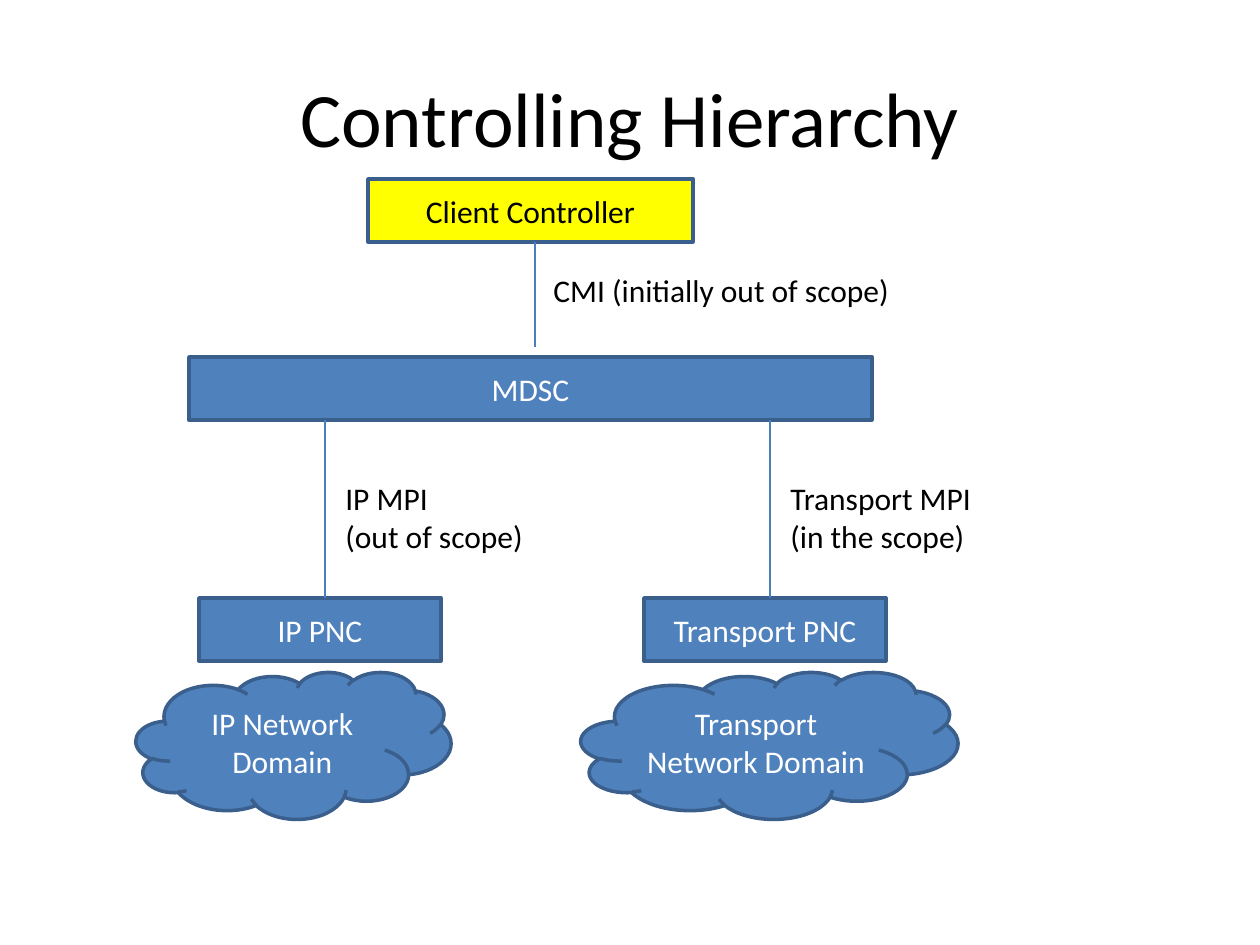
from dataclasses import dataclass

from lxml.etree import SubElement
from pptx import Presentation
from pptx.dml.color import RGBColor
from pptx.enum.shapes import MSO_CONNECTOR, MSO_SHAPE
from pptx.enum.text import MSO_ANCHOR, MSO_AUTO_SIZE, PP_ALIGN
from pptx.oxml.ns import qn
from pptx.slide import Slide
from pptx.text.text import TextFrame
from pptx.util import Emu, Pt

PIXEL = 914400 // 126
FONT = "Calibri"
COLORS = {
    "blue": "4F81BD",
    "outline": "3A5F8C",
    "link": "4B7EBC",
    "yellow": "FFFF00",
    "white": "FFFFFF",
    "black": "000000",
}
BOX_HEIGHT = 63
MDSC_TOP = 357
MDSC_BOTTOM = MDSC_TOP + BOX_HEIGHT
PNC_TOP = 598


@dataclass
class Node:
    """A filled shape with centred text."""
    text: str
    left: int
    top: int
    width: int
    height: int = BOX_HEIGHT
    kind: MSO_SHAPE = MSO_SHAPE.RECTANGLE
    fill: str = "blue"
    color: str = "white"


@dataclass
class Label:
    """Free text on the slide."""
    text: str
    left: int
    top: int
    width: int
    height: int
    size: int = 18
    centred: bool = False


@dataclass
class Link:
    """A vertical line between two levels."""
    x: int
    top: int
    bottom: int


@dataclass
class Domain:
    """A column with a controller and its network."""
    name: str
    left: int
    cloud_width: int
    scope: str
    label_width: int


def pixels(*values: int) -> list[Emu]:
    """Turn pixel lengths into EMU."""
    return [Emu(value * PIXEL) for value in values]


def rgb(name: str) -> RGBColor:
    """Look up a named colour."""
    return RGBColor.from_string(COLORS[name])


def write_text(frame: TextFrame, text: str, size: int, color: str, align: PP_ALIGN) -> None:
    """Set the text and format every run."""
    frame.text = text
    for paragraph in frame.paragraphs:
        paragraph.alignment = align
        for run in paragraph.runs:
            run.font.name = FONT
            run.font.size = Pt(size)
            run.font.color.rgb = rgb(color)


def draw_node(slide: Slide, node: Node) -> None:
    """Draw a box or a cloud."""
    shape = slide.shapes.add_shape(
        node.kind, *pixels(node.left, node.top, node.width, node.height))
    shape.shadow.inherit = False
    shape.fill.solid()
    shape.fill.fore_color.rgb = rgb(node.fill)
    shape.line.color.rgb = rgb("outline")
    shape.line.width = Pt(2)
    shape.text_frame.word_wrap = True
    shape.text_frame.vertical_anchor = MSO_ANCHOR.MIDDLE
    write_text(shape.text_frame, node.text, 18, node.color, PP_ALIGN.CENTER)


def draw_label(slide: Slide, label: Label) -> None:
    """Draw a text box; centred ones wrap, the others grow with the text."""
    shape = slide.shapes.add_textbox(
        *pixels(label.left, label.top, label.width, label.height))
    frame = shape.text_frame
    frame.word_wrap = label.centred
    if label.centred:
        frame.vertical_anchor = MSO_ANCHOR.MIDDLE
    else:
        frame.auto_size = MSO_AUTO_SIZE.SHAPE_TO_FIT_TEXT
    align = PP_ALIGN.CENTER if label.centred else PP_ALIGN.LEFT
    write_text(frame, label.text, label.size, "black", align)


def draw_link(slide: Slide, link: Link) -> None:
    """Draw a thin vertical line."""
    connector = slide.shapes.add_connector(
        MSO_CONNECTOR.STRAIGHT, *pixels(link.x, link.top, link.x, link.bottom))
    connector.line.color.rgb = rgb("link")
    connector.line.width = Pt(0.75)
    SubElement(connector.element.spPr, qn("a:effectLst"))


def draw_domain(slide: Slide, domain: Domain) -> None:
    """Draw one column below the MDSC."""
    left = domain.left
    draw_node(slide, Node(f"{domain.name} PNC", left + 63, PNC_TOP, 242))
    draw_link(slide, Link(left + 189, MDSC_BOTTOM, PNC_TOP))
    draw_node(slide, Node(f"{domain.name} Network Domain", left, 672,
                          domain.cloud_width, 147, MSO_SHAPE.CLOUD))
    draw_label(slide, Label(f"{domain.name} MPI\n{domain.scope}", left + 197, 473,
                            domain.label_width, 89))


DOMAINS = [
    Domain("IP", 136, 315, "(out of scope)", 205),
    Domain("Transport", 581, 377, "(in the scope)", 208),
]


def main() -> None:
    """Build and save the slide."""
    presentation = Presentation()
    presentation.slide_width, presentation.slide_height = pixels(1260, 945)
    slide = presentation.slides.add_slide(presentation.slide_layouts[6])
    draw_label(slide, Label("Controlling Hierarchy", 63, 38, 1134, 157, 44, True))
    draw_node(slide, Node("MDSC", 189, MDSC_TOP, 683))
    draw_node(slide, Node("Client Controller", 368, 179, 325, fill="yellow", color="black"))
    draw_link(slide, Link(535, 242, 347))
    draw_label(slide, Label("CMI (initially out of scope)", 541, 265, 365, 50))
    for domain in DOMAINS:
        draw_domain(slide, domain)
    presentation.save("out.pptx")


main()
